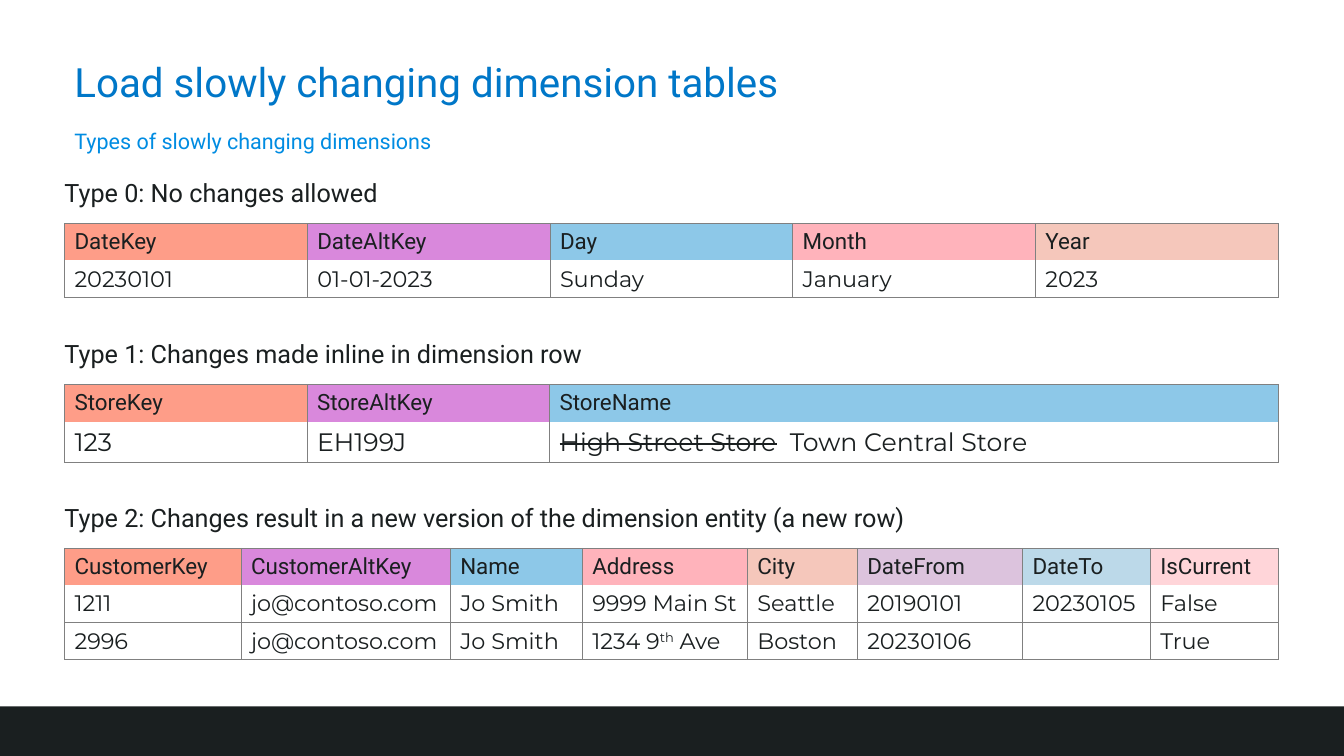
from lxml.etree import SubElement
from pptx import Presentation
from pptx.dml.color import RGBColor
from pptx.enum.shapes import MSO_SHAPE
from pptx.enum.text import MSO_ANCHOR
from pptx.oxml.ns import qn
from pptx.util import Pt

COLORS = {
    "title": "0077C8", "subtitle": "008CE2", "ink": "1A1F20",
    "border": "808080", "cell": "FFFFFF",
}
HEADER_FILLS = ["FE9D88", "D988DC", "8DC8E8", "FFB3BB",
                "F5C7BB", "DCC3DD", "BCD9E9", "FFD5D9"]
LEFT, WIDTH = 46.1, 866.9
HEADING_TO_TABLE = 32.9
HEADER_HEIGHT = 26.2
STRUCK = {"strike": "sngStrike"}
SUPERSCRIPT = {"baseline": "30000"}


def rgb(color):
    return RGBColor.from_string(color)


def style_paragraph(p, size, font, color):
    p.font.size = Pt(size)
    p.font.name = font
    p.font.color.rgb = rgb(color)


def add_text(s, text, top, height, size, color, inset=True):
    tf = s.shapes.add_textbox(Pt(LEFT), Pt(top), Pt(WIDTH), Pt(height)).text_frame
    tf.word_wrap = True
    if not inset:
        tf.margin_left = tf.margin_right = tf.margin_top = tf.margin_bottom = 0
    p = tf.paragraphs[0]
    p.add_run().text = text
    style_paragraph(p, size, "Roboto", color)
    return tf


def add_footer_band(s):
    band = s.shapes.add_shape(MSO_SHAPE.RECTANGLE, 0, Pt(504.5), Pt(960), Pt(35.5))
    band.shadow.inherit = False
    band.fill.solid()
    band.fill.fore_color.rgb = rgb(COLORS["ink"])
    band.line.fill.background()


def set_borders(cell, hidden):
    """Draw thin lines on all sides of the cell except those in hidden."""
    tc_pr = cell._tc.get_or_add_tcPr()
    for side in "LRTB":
        line = SubElement(tc_pr, qn(f"a:ln{side}"), w=str(Pt(0.5)))
        if side in hidden:
            SubElement(line, qn("a:noFill"))
        else:
            fill = SubElement(line, qn("a:solidFill"))
            SubElement(fill, qn("a:srgbClr"), val=COLORS["border"])


def fill_cell(cell, content, size, font, fill, hidden):
    """Content is a string or a list of (text, run attributes) pairs."""
    set_borders(cell, hidden)
    cell.fill.solid()
    cell.fill.fore_color.rgb = rgb(fill)
    cell.vertical_anchor = MSO_ANCHOR.MIDDLE
    p = cell.text_frame.paragraphs[0]
    if not content:
        SubElement(p._p, qn("a:endParaRPr"), sz=str(size * 100))
    runs = [(content, {})] if isinstance(content, str) else content
    for text, attributes in runs:
        if text:
            r = p.add_run()
            r.text = text
            for name, value in attributes.items():
                r._r.get_or_add_rPr().set(name, value)
    if any("\t" in text for text, _ in runs):
        tabs = SubElement(p._p.get_or_add_pPr(), qn("a:tabLst"))
        SubElement(tabs, qn("a:tab"), pos=str(Pt(164.5)), algn="l")
    style_paragraph(p, size, font, COLORS["ink"])


def add_dimension(s, heading, top, widths, header, rows, size, row_height):
    tf = add_text(s, heading, top, 21.6, 18, COLORS["ink"], inset=False)
    tf.paragraphs[0].space_after = Pt(6)

    height = HEADER_HEIGHT + row_height * len(rows)
    table = s.shapes.add_table(len(rows) + 1, len(header), Pt(LEFT),
                               Pt(top + HEADING_TO_TABLE), Pt(WIDTH), Pt(height)).table
    table.horz_banding = False
    for column, width in zip(table.columns, widths):
        column.width = Pt(width)
    table.rows[0].height = Pt(HEADER_HEIGHT)
    for i, (name, fill) in enumerate(zip(header, HEADER_FILLS)):
        fill_cell(table.cell(0, i), name, 16, "Roboto", fill, hidden="B")
    for j, row in enumerate(rows, 1):
        table.rows[j].height = Pt(row_height)
        for i, content in enumerate(row):
            fill_cell(table.cell(j, i), content, size, "Montserrat", COLORS["cell"],
                      hidden="T" if j == 1 else "")
    table.first_row = False


def main():
    prs = Presentation()
    prs.slide_width, prs.slide_height = Pt(960), Pt(540)
    s = prs.slides.add_slide(prs.slide_layouts[6])

    add_footer_band(s)
    title = add_text(s, "Load slowly changing dimension tables",
                     46.1, 28.8, 28.8, COLORS["title"])
    title.vertical_anchor = MSO_ANCHOR.MIDDLE
    title.paragraphs[0].line_spacing = 0.9
    add_text(s, "Types of slowly changing dimensions",
             87.8, 26.6, 15.4, COLORS["subtitle"])

    add_dimension(
        s, "Type 0: No changes allowed", 126.7, [WIDTH / 5] * 5,
        ["DateKey", "DateAltKey", "Day", "Month", "Year"],
        [["20230101", "01-01-2023", "Sunday", "January", "2023"]], 16, 26.7)
    add_dimension(
        s, "Type 1: Changes made inline in dimension row", 241.9, [173.2, 173.2, 520.5],
        ["StoreKey", "StoreAltKey", "StoreName"],
        [["123", "EH199J", [("High Street Store", STRUCK),
                            ("\tTown Central Store", {})]]], 18, 29.2)
    add_dimension(
        s, "Type 2: Changes result in a new version of the dimension entity (a new row)",
        358.6, [126, 149.5, 94.3, 118, 78.5, 118, 91.3, 91.3],
        ["CustomerKey", "CustomerAltKey", "Name", "Address",
         "City", "DateFrom", "DateTo", "IsCurrent"],
        [["1211", "jo@contoso.com", "Jo Smith", "9999 Main St",
          "Seattle", "20190101", "20230105", "False"],
         ["2996", "jo@contoso.com", "Jo Smith",
          [("1234 9", {}), ("th", SUPERSCRIPT), (" Ave", {})],
          "Boston", "20230106", "", "True"]], 16, 26.7)

    prs.save("out.pptx")


if __name__ == "__main__":
    main()
